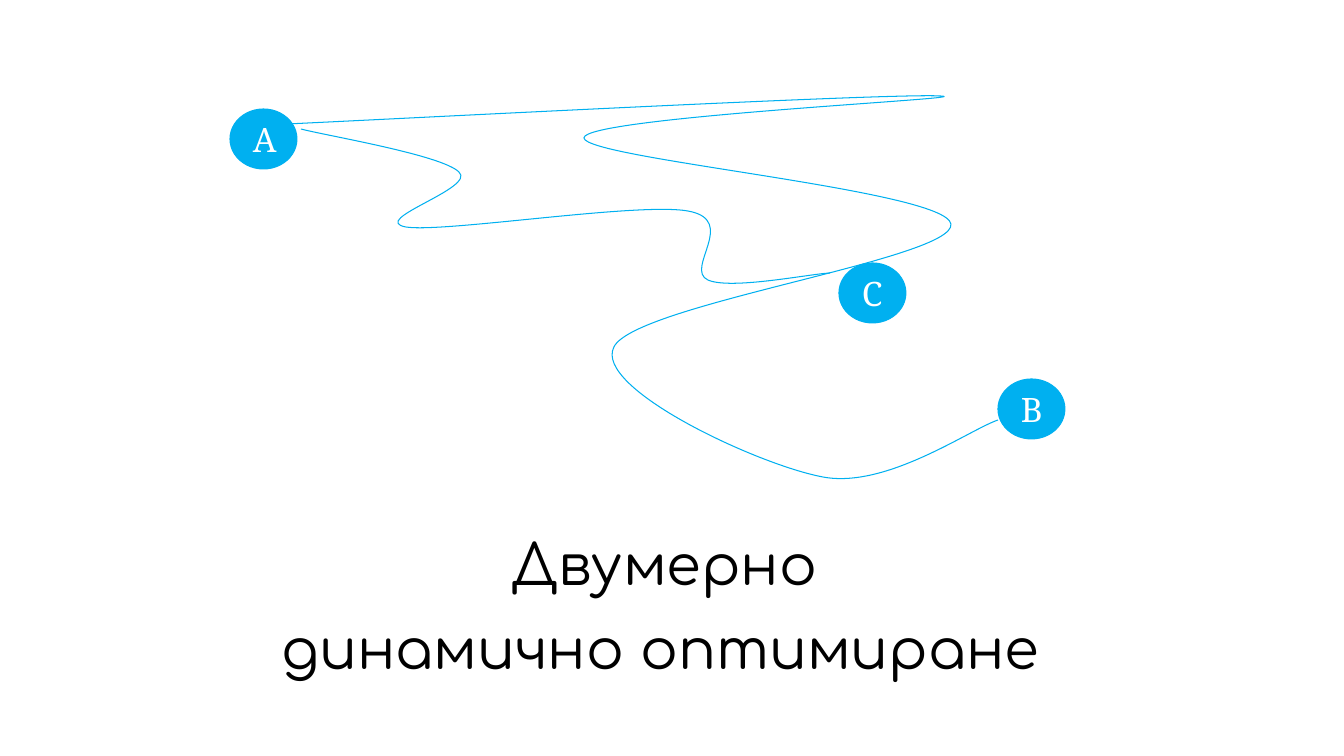
import pptx
import pptx.util
import pptx.dml.color
import pptx.enum.shapes
import pptx.enum.text
import pptx.oxml.ns
import lxml.etree

EMU_PER_PX = 914400 / 100.8
COLORS = {"accent": "00B0F0", "title": "000000", "point": "FFFFFF"}
POINT_WIDTH, POINT_HEIGHT = 67, 60

# Each route is a start point followed by Bézier triples, relative to the map.
LONG_ROUTE = [
    (57, 29),
    (166, 24), (661, -2), (710, 1),
    (760, 3), (353, 22), (354, 43),
    (356, 64), (716, 95), (721, 129),
    (726, 164), (405, 209), (384, 252),
    (363, 293), (528, 370), (593, 382),
    (656, 394), (739, 335), (768, 325),
]
SHORT_ROUTE = [
    (71, 34),
    (98, 41), (212, 60), (229, 77),
    (247, 93), (138, 125), (176, 132),
    (214, 138), (408, 107), (458, 116),
    (509, 125), (454, 174), (478, 185),
    (501, 195), (579, 179), (600, 178),
]


def px(length):
    return pptx.util.Emu(round(length * EMU_PER_PX))


def rgb(name):
    return pptx.dml.color.RGBColor.from_string(COLORS[name])


def add_run(paragraph, text, color, **font_format):
    run = paragraph.add_run()
    run.text = text
    run.font.color.rgb = rgb(color)
    for name, value in font_format.items():
        setattr(run.font, name, value)


def set_frame(frame, anchor, inset):
    values = {"word_wrap": True, "vertical_anchor": anchor}
    for side in ("left", "top", "right", "bottom"):
        values[f"margin_{side}"] = px(inset)
    for name, value in values.items():
        setattr(frame, name, value)


def set_outline(shape):
    shape.shadow.inherit = False
    shape.line.color.rgb = rgb("accent")
    shape.line.width = pptx.util.Pt(0.75)


def add_route(slide, left, top, points):
    """Draw an open curve, turning every three line segments into one Bézier."""
    (start_x, start_y), *rest = [(px(left + x), px(top + y)) for x, y in points]
    builder = slide.shapes.build_freeform(start_x, start_y)
    builder.add_line_segments(rest, close=False)
    route = builder.convert_to_shape()
    qn = pptx.oxml.ns.qn
    path = next(route.element.iter(qn("a:path")))
    segments = path.findall(qn("a:lnTo"))
    for index in range(0, len(segments), 3):
        curve = lxml.etree.SubElement(path, qn("a:cubicBezTo"))
        for segment in segments[index:index + 3]:
            curve.append(segment[0])
            path.remove(segment)
    route.fill.background()
    set_outline(route)


def add_point(slide, left, top, letter):
    point = slide.shapes.add_shape(
        pptx.enum.shapes.MSO_SHAPE.OVAL,
        px(left), px(top), px(POINT_WIDTH), px(POINT_HEIGHT))
    point.fill.solid()
    point.fill.fore_color.rgb = rgb("accent")
    set_outline(point)
    set_frame(point.text_frame, pptx.enum.text.MSO_ANCHOR.MIDDLE, 13)
    paragraph = point.text_frame.paragraphs[0]
    paragraph.alignment = pptx.enum.text.PP_ALIGN.LEFT
    add_run(paragraph, letter, "point", name="Cambria", size=pptx.util.Pt(24))


def add_route_map(slide, left, top):
    add_point(slide, left, top + 14, "А")
    add_route(slide, left, top, LONG_ROUTE)
    add_point(slide, left + 768, top + 284, "В")
    add_route(slide, left, top, SHORT_ROUTE)
    add_point(slide, left + 609, top + 168, "С")


def add_title(slide, left, top, width, height):
    title = slide.shapes.add_textbox(px(left), px(top), px(width), px(height))
    set_frame(title.text_frame, pptx.enum.text.MSO_ANCHOR.BOTTOM, 4)
    paragraph = title.text_frame.paragraphs[0]
    paragraph.alignment = pptx.enum.text.PP_ALIGN.CENTER
    paragraph.line_spacing = 0.9
    font_format = {"name": "Comfortaa", "size": pptx.util.Pt(40)}
    add_run(paragraph, "Двумерно ", "title", **font_format)
    paragraph.add_line_break()
    add_run(paragraph, "динамично оптимиране", "title", **font_format)
    add_run(paragraph, " ", "title", name="Comfortaa", size=pptx.util.Pt(60))


def main():
    presentation = pptx.Presentation()
    presentation.slide_width = px(1344)
    presentation.slide_height = px(756)
    slide = presentation.slides.add_slide(presentation.slide_layouts[6])
    add_title(slide, 101, 601, 1143, 91)
    add_route_map(slide, 230, 95)
    presentation.save("out.pptx")


if __name__ == "__main__":
    main()
